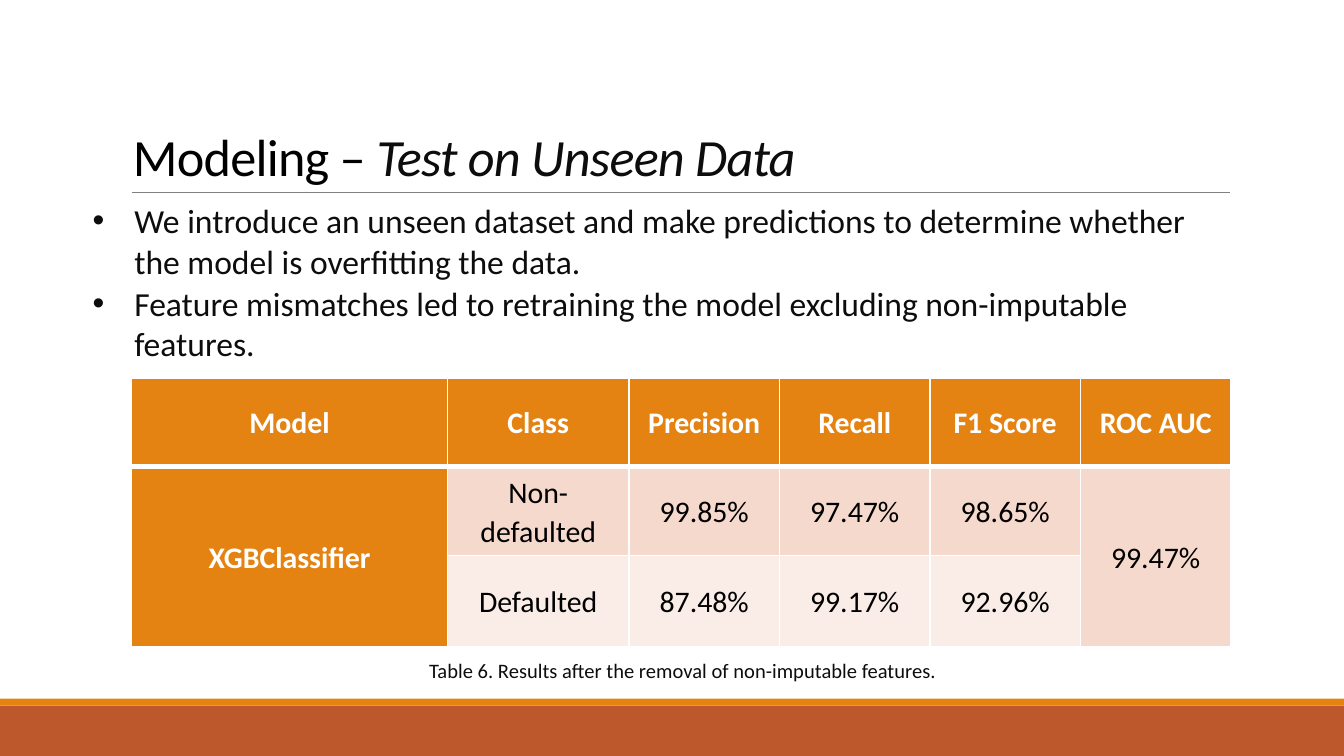
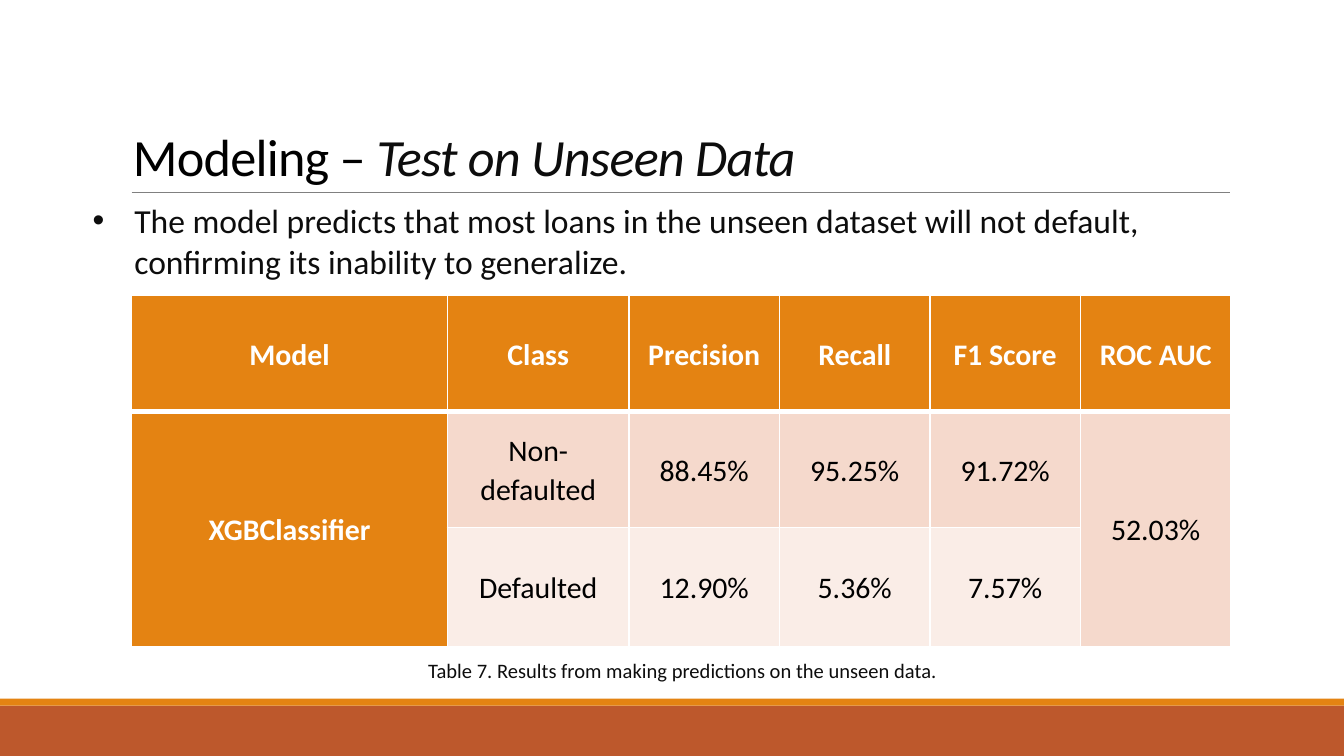
from dataclasses import dataclass

from lxml.etree import SubElement
from pptx import Presentation
from pptx.dml.color import RGBColor
from pptx.enum.shapes import MSO_CONNECTOR, MSO_SHAPE
from pptx.enum.text import MSO_ANCHOR, MSO_AUTO_SIZE, PP_ALIGN
from pptx.oxml import parse_xml
from pptx.oxml.ns import nsdecls, qn
from pptx.util import Inches, Pt

ORANGE = RGBColor(0xE4, 0x83, 0x12)
RUST = RGBColor(0xBD, 0x58, 0x2C)
GRAY = RGBColor(0x80, 0x80, 0x80)
BLACK = RGBColor(0x00, 0x00, 0x00)
INK = RGBColor(0x0D, 0x0D, 0x0D)
WHITE = RGBColor(0xFF, 0xFF, 0xFF)
PEACH = RGBColor(0xF5, 0xD9, 0xCC)
PALE_PEACH = RGBColor(0xFA, 0xED, 0xE7)

FONT = "Calibri"
SLIDE_WIDTH, SLIDE_HEIGHT = Inches(10), Inches(5.625)
COLUMN, ROW = SLIDE_WIDTH / 100, SLIDE_HEIGHT / 100

HEADERS = ["Model", "Class", "Precision", "Recall", "F1 Score", "ROC AUC"]
TABLE_COLUMNS = [23.5, 13.5] + [11.2] * 4
TABLE_ROW_SHARES = [0.33, 0.33, 0.34]
TABLE_BOTTOM = 85.6


@dataclass
class Box:
    column: float
    row: float
    columns: float
    rows: float

    def lengths(self):
        return (round(self.column * COLUMN), round(self.row * ROW),
                round(self.columns * COLUMN), round(self.rows * ROW))


BAND = Box(0, 93.33, 100, 6.67)
STRIPE = Box(0, 92.4, 100, 0.93)
TITLE = Box(9.8, 16, 64.4, 8.7)
RULE = Box(9.8, 25.4, 81.7, 0)
CAPTION = Box(9.8, 86.8, 81.9, 3.6)


def style_run(run, size, color, bold=False, italic=False):
    font = run.font
    font.name, font.size, font.bold, font.italic = FONT, Pt(size), bold, italic
    font.color.rgb = color


def add_text_frame(slide, box):
    frame = slide.shapes.add_textbox(*box.lengths()).text_frame
    frame.word_wrap = True
    frame.auto_size = MSO_AUTO_SIZE.SHAPE_TO_FIT_TEXT
    frame.margin_left = frame.margin_right = frame.margin_bottom = 0
    frame.margin_top = Inches(0.01)
    return frame


def set_indent(paragraph, margin, indent=0):
    paragraph.space_before = Pt(1)
    properties = paragraph._p.get_or_add_pPr()
    properties.set("marL", str(Inches(margin)))
    properties.set("indent", str(Inches(indent)))
    return properties


def add_bar(slide, box, color):
    shape = slide.shapes.add_shape(MSO_SHAPE.RECTANGLE, *box.lengths())
    shape.shadow.inherit = False
    shape.fill.solid()
    shape.fill.fore_color.rgb = color
    shape.line.fill.background()


def add_rule(slide, box):
    left, top, width, height = box.lengths()
    rule = slide.shapes.add_connector(
        MSO_CONNECTOR.STRAIGHT, left, top, left + width, top + height)
    rule.line.color.rgb = GRAY
    rule.line.width = Pt(0.5)
    SubElement(rule._element.spPr, qn("a:effectLst"))


def add_title(slide, box, topic, subtitle):
    frame = add_text_frame(slide, box)
    frame.vertical_anchor = MSO_ANCHOR.BOTTOM
    paragraph = frame.paragraphs[0]
    set_indent(paragraph, 0.01)
    for text, color, italic in ((topic, BLACK, False), (subtitle, INK, True)):
        run = paragraph.add_run()
        run.text = text
        style_run(run, 28, color, italic=italic)
        run._r.get_or_add_rPr().set("spc", "-40")


def add_bullets(slide, box, bullets):
    frame = add_text_frame(slide, box)
    frame.text = "\n".join(bullets)
    for paragraph in frame.paragraphs:
        properties = set_indent(paragraph, 0.33, -0.31)
        SubElement(properties, qn("a:buFont")).set("typeface", "Arial")
        SubElement(properties, qn("a:buChar")).set("char", "•")
        style_run(paragraph.runs[0], 18, INK)


def add_caption(slide, box, text):
    frame = add_text_frame(slide, box)
    frame.text = text
    paragraph = frame.paragraphs[0]
    paragraph.alignment = PP_ALIGN.CENTER
    set_indent(paragraph, 0.01)
    style_run(paragraph.runs[0], 11, INK)


def set_borders(cell, top, bottom):
    properties = cell._tc.get_or_add_tcPr()
    sides = (("lnL", 1), ("lnR", 1), ("lnT", top), ("lnB", bottom))
    for position, (side, width) in enumerate(sides):
        properties.insert(position, parse_xml(
            f'<a:{side} {nsdecls("a")} w="{Pt(width)}"><a:solidFill>'
            f'<a:srgbClr val="{WHITE}"/></a:solidFill></a:{side}>'))


def fill_cell(cell, text, row, column):
    heading = row == 0 or column == 0
    if heading:
        fill = ORANGE
    else:
        fill = PEACH if row == 1 or column == len(HEADERS) - 1 else PALE_PEACH
    cell.fill.solid()
    cell.fill.fore_color.rgb = fill
    set_borders(cell, top=3 if row == 1 else 1, bottom=3 if row == 0 else 1)
    cell.vertical_anchor = MSO_ANCHOR.MIDDLE
    cell.margin_left = cell.margin_right = Inches(0.07)
    cell.margin_top = cell.margin_bottom = 0
    cell.text = text
    paragraph = cell.text_frame.paragraphs[0]
    paragraph.alignment = PP_ALIGN.CENTER
    paragraph.line_spacing = 1.07
    for run in paragraph.runs:
        style_run(run, 16, WHITE if heading else BLACK, bold=heading)


def add_results_table(slide, box, non_defaulted, defaulted, roc_auc):
    rows = [
        HEADERS,
        ["XGBClassifier", "Non-defaulted", *non_defaulted, roc_auc],
        ["", "Defaulted", *defaulted, ""],
    ]
    table = slide.shapes.add_table(
        len(rows), len(HEADERS), *box.lengths()).table
    for column, columns in zip(table.columns, TABLE_COLUMNS):
        column.width = round(columns * COLUMN)
    for row, share in zip(table.rows, TABLE_ROW_SHARES):
        row.height = round(share * box.rows * ROW)
    for row, texts in enumerate(rows):
        for column, text in enumerate(texts):
            fill_cell(table.cell(row, column), text, row, column)
    for column in (0, len(HEADERS) - 1):
        table.cell(1, column).merge(table.cell(2, column))


def add_results_slide(presentation, bullets, bullet_rows, table_top,
                      caption, **results):
    slide = presentation.slides.add_slide(presentation.slide_layouts[6])
    add_bar(slide, BAND, RUST)
    add_bar(slide, STRIPE, ORANGE)
    add_rule(slide, RULE)
    add_title(slide, TITLE, "Modeling – ", "Test on Unseen Data")
    add_bullets(slide, Box(6.7, 26.3, 85, bullet_rows), bullets)
    add_caption(slide, CAPTION, caption)
    table_box = Box(9.8, table_top, sum(TABLE_COLUMNS), TABLE_BOTTOM - table_top)
    add_results_table(slide, table_box, **results)


def main():
    presentation = Presentation()
    presentation.slide_width = SLIDE_WIDTH
    presentation.slide_height = SLIDE_HEIGHT
    add_results_slide(
        presentation,
        ["We introduce an unseen dataset and make predictions to determine "
         "whether the model is overfitting the data.",
         "Feature mismatches led to retraining the model excluding "
         "non-imputable features."],
        bullet_rows=27.7,
        table_top=50,
        caption="Table 6. Results after the removal of non-imputable features.",
        non_defaulted=["99.85%", "97.47%", "98.65%"],
        defaulted=["87.48%", "99.17%", "92.96%"],
        roc_auc="99.47%")
    add_results_slide(
        presentation,
        ["The model predicts that most loans in the unseen dataset will not "
         "default, confirming its inability to generalize."],
        bullet_rows=11,
        table_top=39.1,
        caption="Table 7. Results from making predictions on the unseen data.",
        non_defaulted=["88.45%", "95.25%", "91.72%"],
        defaulted=["12.90%", "5.36%", "7.57%"],
        roc_auc="52.03%")
    presentation.save("out.pptx")


if __name__ == "__main__":
    main()
